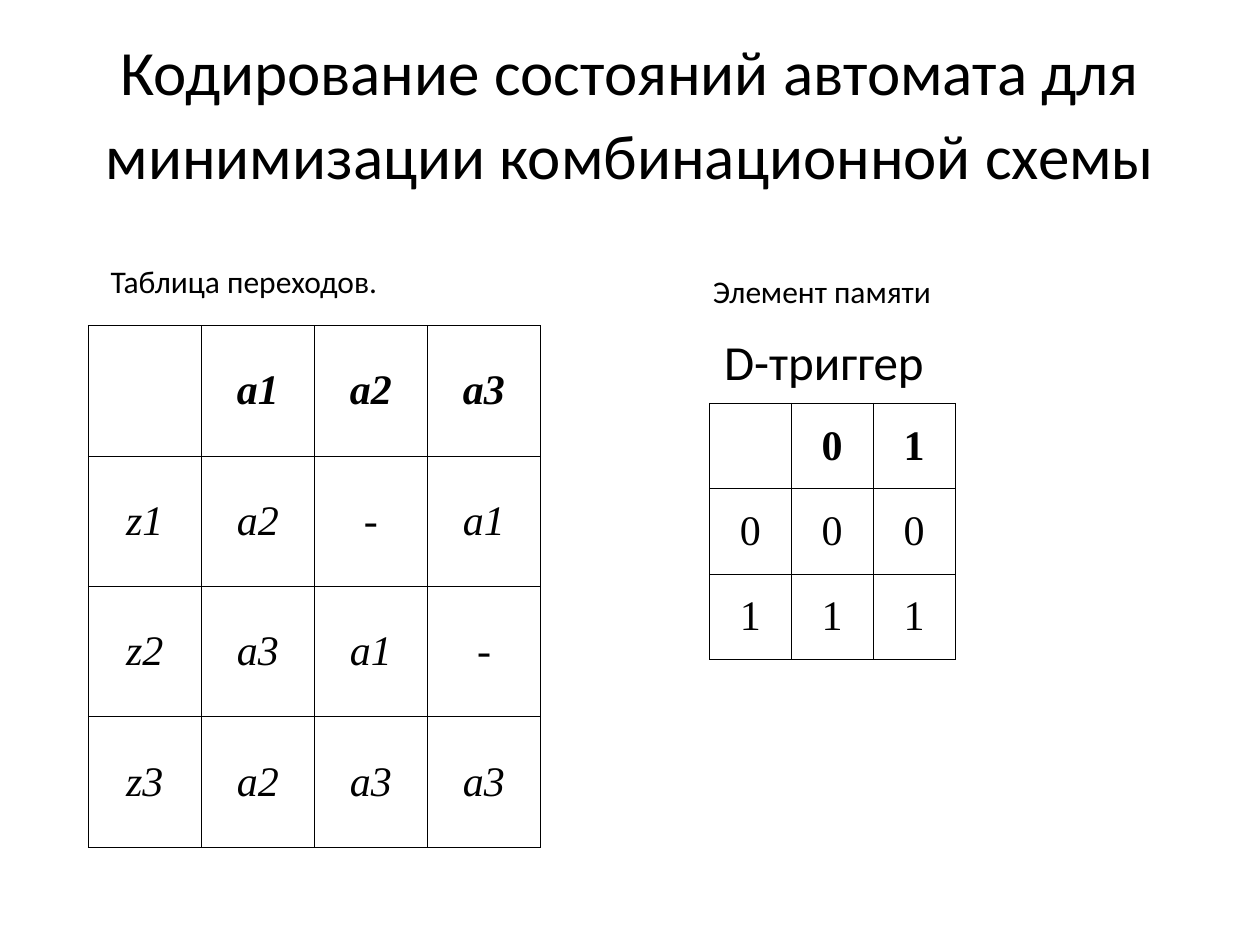
from lxml.etree import SubElement
from pptx import Presentation
from pptx.dml.color import RGBColor
from pptx.enum.text import MSO_ANCHOR as ANCHOR, MSO_AUTO_SIZE as FIT, PP_ALIGN as ALIGN
from pptx.oxml.ns import qn
from pptx.util import Cm, Pt

COLORS = {"text": "000000", "border": "000000", "bg": "FFFFFF"}
SANS, SERIF = "Calibri", "Times New Roman"

TRANSITIONS = [
    ["", "а1", "а2", "а3"],
    ["z1", "а2", "-", "а1"],
    ["z2", "а3", "а1", "-"],
    ["z3", "а2", "а3", "а3"],
]
TRIGGER = [["", "0", "1"], ["0", "0", "0"], ["1", "1", "1"]]


def write(tf, text, align=ALIGN.LEFT, **fmt):
    p = tf.paragraphs[0]
    p.alignment = align
    p.font.size = Pt(fmt["size"])
    if text:
        r = p.add_run()
        r.text = text
        r.font.color.rgb = RGBColor.from_string(COLORS["text"])
        for name, value in {**fmt, "size": Pt(fmt["size"])}.items():
            setattr(r.font, name, value)
    return p


def add_title(s, box, text):
    sp = s.shapes.title
    sp.left, sp.top, sp.width, sp.height = (Cm(v) for v in box)
    tf = sp.text_frame
    tf.word_wrap, tf.auto_size, tf.vertical_anchor = True, FIT.NONE, ANCHOR.MIDDLE
    p = write(tf, text, ALIGN.CENTER, size=36, name=SANS, bold=False)
    p.line_spacing = 1.12


def add_caption(s, box, text, size=18, align=ALIGN.LEFT, wrap=True):
    tf = s.shapes.add_textbox(*(Cm(v) for v in box)).text_frame
    tf.word_wrap, tf.auto_size = wrap, FIT.SHAPE_TO_FIT_TEXT
    write(tf, text, align, size=size, name=SANS)


def add_borders(cell):
    pr = cell._tc.get_or_add_tcPr()
    for i, side in enumerate(("lnL", "lnR", "lnT", "lnB")):
        ln = pr.makeelement(qn(f"a:{side}"), {"w": str(Pt(0.45))})
        fill = SubElement(ln, qn("a:solidFill"))
        SubElement(fill, qn("a:srgbClr"), val=COLORS["border"])
        pr.insert(i, ln)


def add_grid(s, left, top, col_w, row_h, rows, italic=False):
    n_rows, n_cols = len(rows), len(rows[0])
    table = s.shapes.add_table(n_rows, n_cols, Cm(left), Cm(top),
                               Cm(col_w * n_cols), Cm(row_h * n_rows)).table
    table.first_row = table.horz_banding = False
    for col in table.columns:
        col.width = Cm(col_w)
    for i, (row, values) in enumerate(zip(table.rows, rows)):
        row.height = Cm(row_h)
        for cell, value in zip(row.cells, values):
            cell.fill.background()
            cell.vertical_anchor = ANCHOR.MIDDLE
            cell.margin_left = cell.margin_right = Cm(0.2)
            write(cell.text_frame, value, ALIGN.CENTER, size=24, name=SERIF,
                  bold=i == 0, italic=italic)
            add_borders(cell)


def add_transitions(s, left, top):
    add_grid(s, left, top + 1.4, 2.28, 2.63, TRANSITIONS, italic=True)
    add_caption(s, (left + 0.2, top, 10.52, 1.02), "Таблица переходов.")


def add_memory(s, left, top):
    add_grid(s, left, top + 2.77, 1.65, 1.72, TRIGGER)
    add_caption(s, (left + 0.05, top + 1.19, 4.55, 1.45), "D-триггер", size=28, wrap=False)
    add_caption(s, (left - 1.4, top, 7.34, 1.02), "Элемент памяти", align=ALIGN.CENTER)


def main():
    prs = Presentation()
    prs.slide_width, prs.slide_height = Cm(25.4), Cm(19.05)
    s = prs.slides.add_slide(prs.slide_layouts[5])
    s.background.fill.solid()
    s.background.fill.fore_color.rgb = RGBColor.from_string(COLORS["bg"])
    add_title(s, (1.27, 0.58, 22.86, 3.18),
              "Кодирование состояний автомата для минимизации комбинационной схемы")
    add_transitions(s, 1.78, 5.16)
    add_memory(s, 14.3, 5.36)
    prs.save("out.pptx")


if __name__ == "__main__":
    main()
